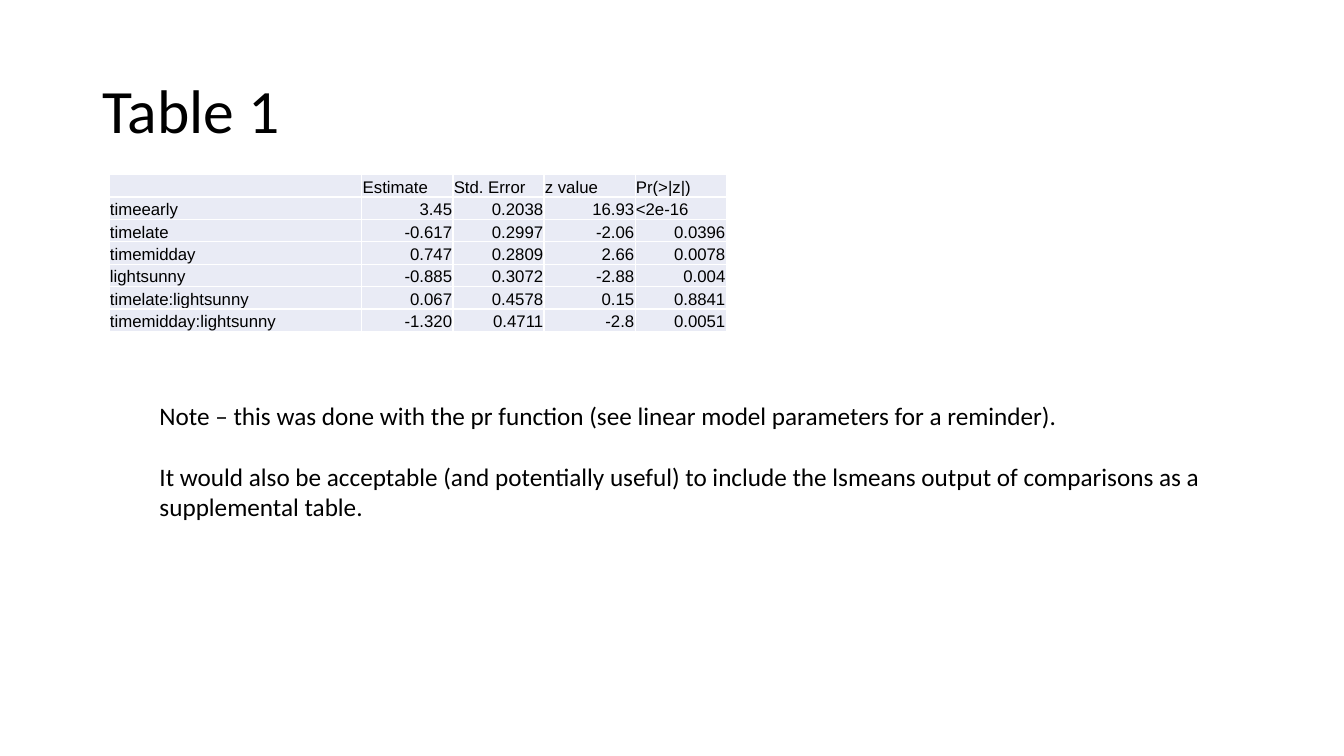
from lxml.etree import SubElement
from pptx import Presentation
from pptx.dml.color import RGBColor
from pptx.enum.text import MSO_ANCHOR, PP_ALIGN
from pptx.oxml import parse_xml
from pptx.oxml.ns import nsdecls, qn
from pptx.util import Cm, Pt

COLORS = {"text": "000000", "cell": "E9EBF5", "rule": "FFFFFF"}
HEAD = ["", "Estimate", "Std. Error", "z value", "Pr(>|z|)"]
ROWS = [
    ["timeearly", "3.45", "0.2038", "16.93", "<2e-16"],
    ["timelate", "-0.617", "0.2997", "-2.06", "0.0396"],
    ["timemidday", "0.747", "0.2809", "2.66", "0.0078"],
    ["lightsunny", "-0.885", "0.3072", "-2.88", "0.004"],
    ["timelate:lightsunny", "0.067", "0.4578", "0.15", "0.8841"],
    ["timemidday:lightsunny", "-1.320", "0.4711", "-2.8", "0.0051"],
]
NOTES = [
    "Note – this was done with the pr function "
    "(see linear model parameters for a reminder). ",
    "It would also be acceptable (and potentially useful) to include the "
    "lsmeans output of comparisons as a supplemental table.",
]


def add_run(par, text, size, font="Calibri"):
    """Add one styled run to a paragraph."""
    run = par.add_run()
    run.text = text
    run.font.size = Pt(size)
    run.font.name = font
    run.font.color.rgb = RGBColor.from_string(COLORS["text"])


def add_title(slide, box, text):
    """Fill the title placeholder and move it to the box."""
    title = slide.shapes.title
    title.left, title.top, title.width, title.height = box
    frame = title.text_frame
    frame.vertical_anchor = MSO_ANCHOR.MIDDLE
    par = frame.paragraphs[0]
    par.alignment = PP_ALIGN.LEFT
    par.line_spacing = 0.9
    add_run(par, text, 44)


def add_rules(cell):
    """Draw thin rules on all four sides of a cell."""
    props = cell._tc.get_or_add_tcPr()
    for spot, side in enumerate("LRTB"):
        props.insert(spot, parse_xml(
            f'<a:ln{side} {nsdecls("a")} w="{Pt(1)}"><a:solidFill>'
            f'<a:srgbClr val="{COLORS["rule"]}"/></a:solidFill></a:ln{side}>'))


def fill_cell(cell, text):
    """Style a cell and set its text, with plain numbers to the right."""
    cell.fill.solid()
    cell.fill.fore_color.rgb = RGBColor.from_string(COLORS["cell"])
    add_rules(cell)
    cell.vertical_anchor = MSO_ANCHOR.BOTTOM
    cell.margin_left = cell.margin_right = cell.margin_top = Cm(0.02)
    cell.margin_bottom = 0
    par = cell.text_frame.paragraphs[0]
    if text:
        add_run(par, text, 12, "Arial")
    else:
        SubElement(par._p, qn("a:endParaRPr"), sz="1200")
    if text.lstrip("-")[:1].isdigit():
        par.alignment = PP_ALIGN.RIGHT


def add_grid(slide, box, data):
    """Place the table with a wide first column and equal others."""
    left, top, width, height = box
    grid = slide.shapes.add_table(len(data), len(data[0]), *box).table
    grid.first_row = grid.horz_banding = False
    first = Cm(6.37)
    for num, col in enumerate(grid.columns):
        col.width = (width - first) // (len(data[0]) - 1) if num else first
    for row, texts in zip(grid.rows, data):
        row.height = height // len(data)
        for cell, text in zip(row.cells, texts):
            fill_cell(cell, text)


def add_notes(slide, box, texts):
    """Place the remarks below the table, one paragraph each."""
    frame = slide.shapes.add_textbox(*box).text_frame
    frame.word_wrap = True
    for num, text in enumerate(texts):
        par = frame.add_paragraph() if num else frame.paragraphs[0]
        par.space_before = Pt(22 if num else 0)
        add_run(par, text, 18)


def build():
    """Build the slide and save it."""
    deck = Presentation()
    deck.slide_width, deck.slide_height = Cm(33.87), Cm(19.05)
    slide = deck.slides.add_slide(deck.slide_layouts[5])
    add_title(slide, (Cm(2.33), Cm(1.01), Cm(29.21), Cm(3.68)), "Table 1")
    add_grid(slide, (Cm(2.75), Cm(4.4), Cm(15.55), Cm(3.95)), [HEAD] + ROWS)
    add_notes(slide, (Cm(3.77), Cm(9.96), Cm(28.3), Cm(3.33)), NOTES)
    deck.save("out.pptx")


build()
